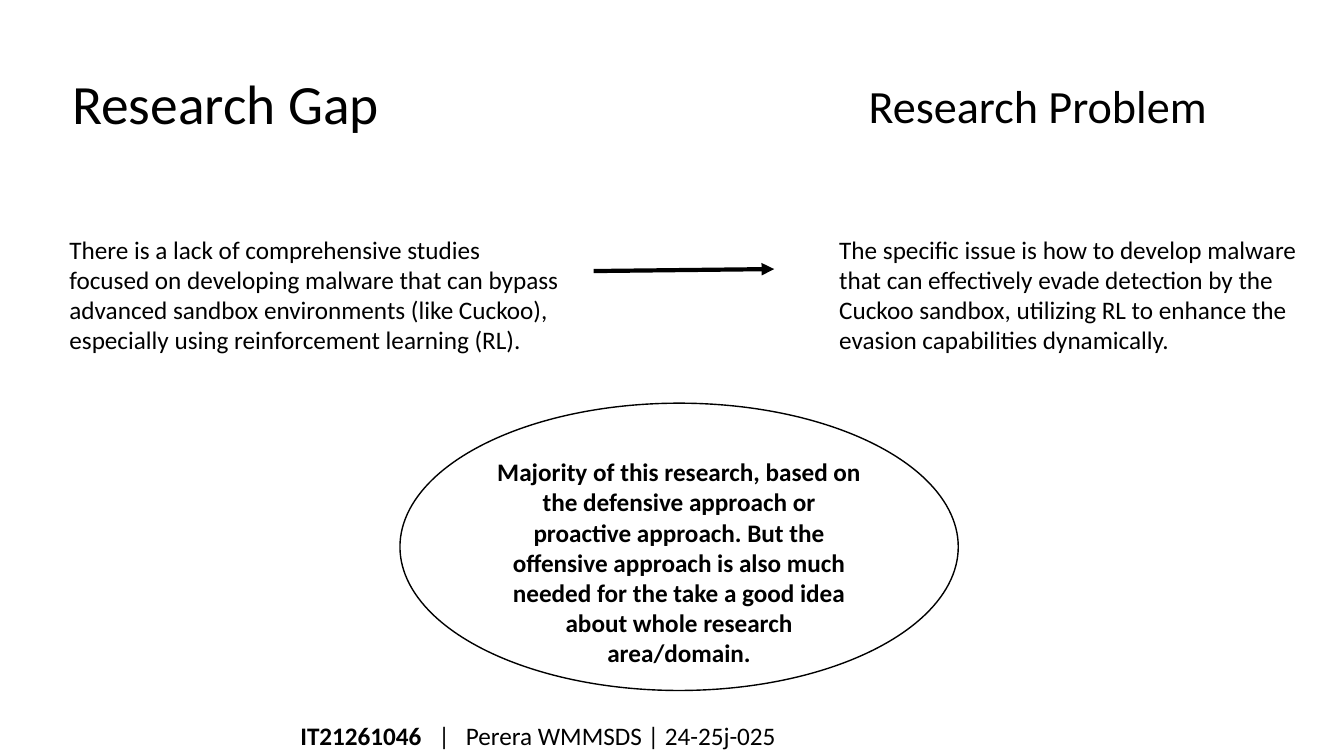
from pptx import Presentation
from pptx.dml.color import RGBColor
from pptx.enum.shapes import MSO_CONNECTOR as Connector, MSO_SHAPE as Shape
from pptx.enum.text import MSO_ANCHOR as Anchor, PP_ALIGN as Align
from pptx.oxml.ns import qn
from pptx.util import Cm, Pt
from lxml.etree import SubElement

COLOURS = {"ink": "000000", "paper": "FFFFFF"}
FONT = "Calibri"
BODY_SIZE = 18


def colour(name):
    return RGBColor.from_string(COLOURS[name])


def add_run(para, text, size=BODY_SIZE, bold=False):
    run = para.add_run()
    run.text = text
    run.font.name = FONT
    run.font.size = Pt(size)
    run.font.bold = bold
    run.font.color.rgb = colour("ink")


def add_box(page, left, top, width, height, anchor=Anchor.TOP):
    box = page.shapes.add_textbox(Cm(left), Cm(top), Cm(width), Cm(height))
    box.text_frame.word_wrap = True
    box.text_frame.vertical_anchor = anchor
    return box.text_frame


def fill_paragraphs(frame, texts, bold=False, align=Align.LEFT):
    for index, text in enumerate(texts):
        para = frame.add_paragraph() if index else frame.paragraphs[0]
        para.alignment = align
        add_run(para, text, bold=bold)


def draw_column(page, left, top, title, title_shift, title_size, spacing, texts):
    heading = add_box(page, left + title_shift, top, 11.94, 2.41, Anchor.MIDDLE)
    para = heading.paragraphs[0]
    para.line_spacing = spacing
    add_run(para, title, title_size)
    para.add_line_break()
    para._p.findall(qn("a:br"))[-1].get_or_add_rPr().set("sz", str(int(title_size * 100)))
    fill_paragraphs(add_box(page, left, top + 3.46, 12.95, 3.33), texts)


def draw_arrow(page, left, top, width, rise):
    arrow = page.shapes.add_connector(
        Connector.STRAIGHT, Cm(left), Cm(top), Cm(left + width), Cm(top - rise)
    )
    arrow.line.color.rgb = colour("ink")
    arrow.line.width = Pt(3)
    SubElement(arrow.line._get_or_add_ln(), qn("a:tailEnd"), type="triangle")
    SubElement(arrow._element.spPr, qn("a:effectLst"))


def draw_ellipse(page, left, top, width, height, texts):
    ellipse = page.shapes.add_shape(
        Shape.OVAL, Cm(left), Cm(top), Cm(width), Cm(height)
    )
    ellipse.shadow.inherit = False
    ellipse.fill.background()
    ellipse.line.color.rgb = colour("ink")
    ellipse.line.width = Pt(1)
    frame = ellipse.text_frame
    frame.word_wrap = True
    frame.vertical_anchor = Anchor.MIDDLE
    frame.margin_top = Cm(0.9)
    fill_paragraphs(frame, texts, bold=True, align=Align.CENTER)


def draw_footer(page, left, top, width, height):
    para = add_box(page, left, top, width, height, Anchor.MIDDLE).paragraphs[0]
    tabs = SubElement(para._p.get_or_add_pPr(), qn("a:tabLst"))
    for stop in (3.48, 4.17):
        SubElement(tabs, qn("a:tab"), pos=str(int(Cm(stop))), algn="l")
    add_run(para, "IT21261046", bold=True)
    add_run(para, "\t|\tPerera WMMSDS | 24-25j-025")


def main():
    deck = Presentation()
    deck.slide_width, deck.slide_height = Cm(33.87), Cm(19.05)
    page = deck.slides.add_slide(deck.slide_layouts[6])
    page.background.fill.solid()
    page.background.fill.fore_color.rgb = colour("paper")

    draw_column(page, 1.5, 2.31, "Research Gap", 0.07, 39.6, 0.9, [
        "There is a lack of comprehensive studies focused on developing malware "
        "that can bypass advanced sandbox environments (like Cuckoo), especially "
        "using reinforcement learning (RL).",
    ])
    draw_column(page, 20.9, 2.31, "Research Problem", 0.74, 33, 0.7, [
        "The specific issue is how to develop malware that can effectively evade "
        "detection by the",
        "Cuckoo sandbox, utilizing RL to enhance the evasion capabilities dynamically.",
    ])
    draw_arrow(page, 14.96, 6.83, 4.55, 0.05)
    draw_ellipse(page, 10.08, 10.16, 14.07, 7.24, [
        "Majority of this research, based on the defensive approach or proactive "
        "approach. But the offensive approach is also much needed for the take a "
        "good idea",
        "about whole research area/domain.",
    ])
    draw_footer(page, 7.32, 18.03, 18.92, 1.02)
    deck.save("out.pptx")


if __name__ == "__main__":
    main()
